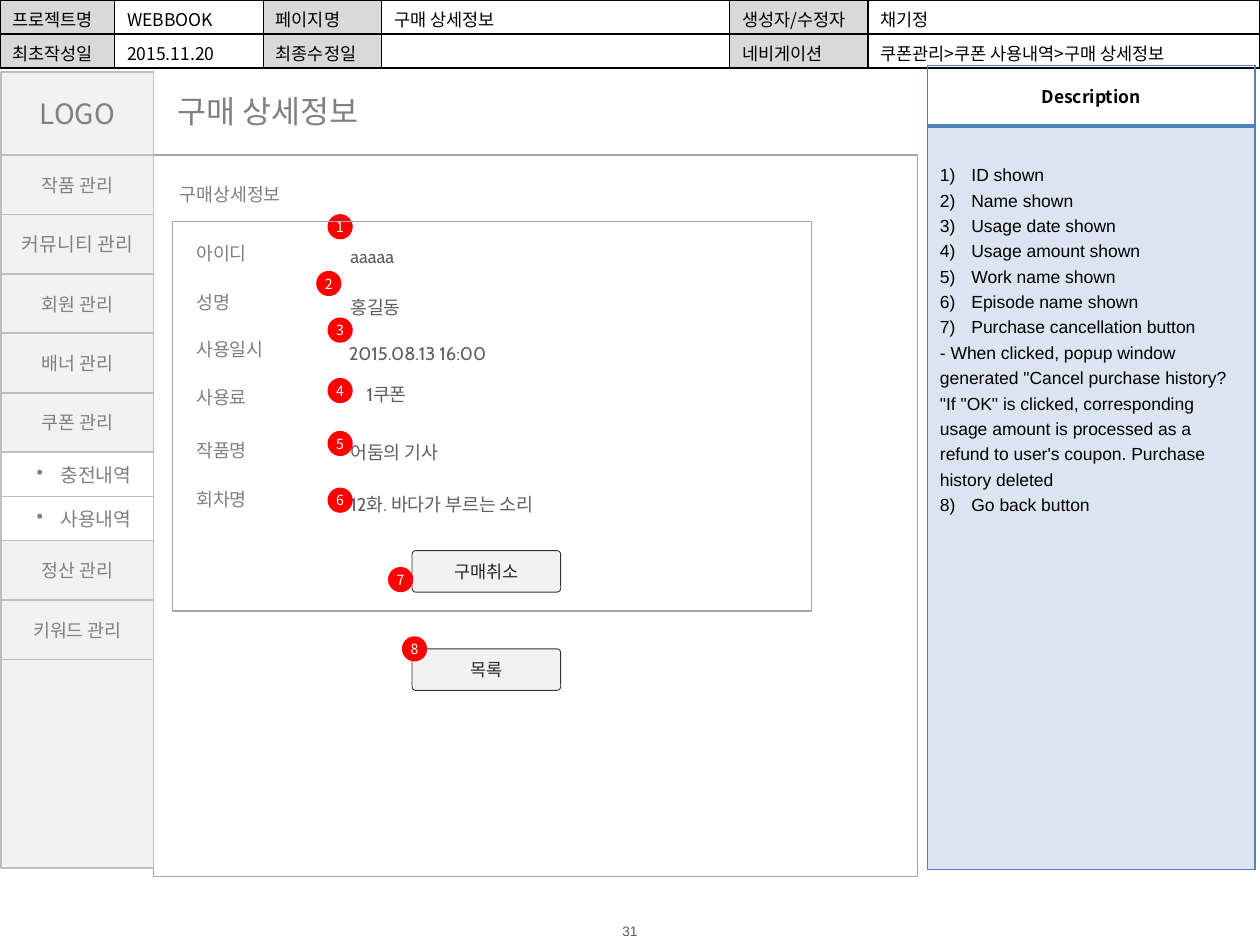
from lxml.etree import SubElement
from pptx import Presentation
from pptx.dml.color import RGBColor
from pptx.enum.shapes import MSO_SHAPE
from pptx.enum.text import MSO_ANCHOR, PP_ALIGN
from pptx.oxml.ns import qn
from pptx.util import Inches, Pt

KOREAN = "Noto Sans CJK KR"
GREY, LIGHT, RULE, BLUE = "808080", "F2F2F2", "BFBFBF", "4F81BD"
INSETS = (0.1, 0.05, 0.1, 0.05)


def color(value):
    """Turn a hex string into a colour."""
    return RGBColor.from_string(value)


def style(paragraph, size, tint, font=KOREAN, align=PP_ALIGN.LEFT, bold=False):
    """Format a paragraph with one font and alignment."""
    paragraph.alignment = align
    paragraph.font.size = Pt(size)
    paragraph.font.bold = bold
    paragraph.font.name = font
    paragraph.font.color.rgb = color(tint)
    east_asian = SubElement(paragraph.font._element, qn("a:ea"))
    east_asian.set("typeface", KOREAN)


def write(shape, text, size, tint, font=KOREAN, align=PP_ALIGN.LEFT,
          insets=INSETS, anchor=MSO_ANCHOR.MIDDLE, wrap=True):
    """Put one formatted paragraph into a shape."""
    frame = shape.text_frame
    frame.word_wrap = wrap
    frame.vertical_anchor = anchor
    (frame.margin_left, frame.margin_top,
     frame.margin_right, frame.margin_bottom) = map(Inches, insets)
    frame.text = text
    style(frame.paragraphs[0], size, tint, font, align)
    return frame.paragraphs[0]


def add_label(slide, box, text, size, tint, **options):
    """Add a text box."""
    write(slide.shapes.add_textbox(*map(Inches, box)), text, size, tint, **options)


def add_box(slide, box, fill=None, line=None, weight=1.0,
            kind=MSO_SHAPE.RECTANGLE, corner=None):
    """Add a preset shape with a flat fill and outline."""
    shape = slide.shapes.add_shape(kind, *map(Inches, box))
    shape.shadow.inherit = False
    if corner:
        shape.adjustments[0] = corner
    if fill:
        shape.fill.solid()
        shape.fill.fore_color.rgb = color(fill)
    else:
        shape.fill.background()
    if line:
        shape.line.color.rgb = color(line)
        shape.line.width = Pt(weight)
    else:
        shape.line.fill.background()
    return shape


def set_marker(paragraph, indent, tag, **attributes):
    """Give a paragraph a hanging bullet or number."""
    properties = paragraph._p.get_or_add_pPr()
    properties.set("marL", str(Inches(indent)))
    properties.set("indent", str(-Inches(indent)))
    marker = properties.makeelement(qn(tag), attributes)
    properties.insert_element_before(marker, "a:tabLst", "a:defRPr", "a:extLst")


def set_cell(cell, fill=None, alpha=None, border="000000", bottom=1):
    """Set a cell's fill and its four borders."""
    properties = cell._tc.get_or_add_tcPr()
    for side, points in (("L", 1), ("R", 1), ("T", 1), ("B", bottom)):
        edge = SubElement(properties, qn(f"a:ln{side}"), w=str(Pt(points)))
        SubElement(SubElement(edge, qn("a:solidFill")), qn("a:srgbClr"), val=border)
    if fill:
        cell.fill.solid()
        cell.fill.fore_color.rgb = color(fill)
        if alpha:
            tint = properties.find(qn("a:solidFill"))[0]
            SubElement(tint, qn("a:alpha"), val=str(alpha * 1000))
    else:
        cell.fill.background()


def add_table(slide, left, top, columns, rows):
    """Add an unbanded table from column widths and row heights."""
    box = (left, top, sum(columns), sum(rows))
    table = slide.shapes.add_table(len(rows), len(columns), *map(Inches, box)).table
    table.first_row = table.horz_banding = False
    for column, width in zip(table.columns, columns):
        column.width = Inches(width)
    for row, height in zip(table.rows, rows):
        row.height = Inches(height)
    return table


def add_project_header(slide, left, top):
    """Add the project data across the top."""
    contents = [
        ["프로젝트명", "WEBBOOK", "페이지명", "구매 상세정보", "생성자/수정자", "채기정"],
        ["최초작성일", "2015.11.20", "최종수정일", "", "네비게이션",
         "쿠폰관리>쿠폰 사용내역>구매 상세정보"],
    ]
    table = add_table(slide, left, top, [0.91, 1.18, 0.94, 2.76, 1.1, 3.11], [0.27] * 2)
    for row, texts in enumerate(contents):
        for column, text in enumerate(texts):
            cell = table.cell(row, column)
            cell.margin_bottom = 0
            cell.text = text
            style(cell.text_frame.paragraphs[0], 10, "000000")
            set_cell(cell, None if column % 2 else "D9D9D9")


def add_description(slide, left, top, width, height):
    """Add the description panel with its numbered notes."""
    heading = 0.48
    table = add_table(slide, left, top, [width], [heading, height - heading])
    title, body = table.cell(0, 0), table.cell(1, 0)
    title.text = "Description"
    title.vertical_anchor = MSO_ANCHOR.MIDDLE
    style(title.text_frame.paragraphs[0], 10, "000000", align=PP_ALIGN.CENTER, bold=True)
    set_cell(title, border=BLUE, bottom=2)
    notes = ["ID shown", "Name shown", "Usage date shown", "Usage amount shown",
             "Work name shown", "Episode name shown", "Purchase cancellation button",
             "- When clicked, popup window generated \"Cancel purchase history? "
             "\"If \"OK\" is clicked, corresponding usage amount is processed as a "
             "refund to user's coupon. Purchase history deleted",
             "Go back button"]
    body.text = "\n".join(notes)
    body.margin_top = Inches(0.27)
    number = 0
    for paragraph in body.text_frame.paragraphs:
        style(paragraph, 10, "000000", "Arial")
        paragraph.line_spacing = 1.3
        if not paragraph.text.startswith("-"):
            number += 1
            set_marker(paragraph, 0.25, "a:buAutoNum", type="arabicParenR",
                       startAt=str(number if number == 8 else 1))
    set_cell(body, BLUE, 20, BLUE)


def add_menu(slide, left, top, width, height):
    """Add the side menu, stacked from the logo down."""
    add_box(slide, (left, top + 3.49, width, height - 3.49), LIGHT, RULE)
    items = [("LOGO", 0.66, 16), ("작품 관리", 0.472, 10.5), ("커뮤니티 관리", 0.472, 11),
             ("회원 관리", 0.472, 10.5), ("배너 관리", 0.472, 10.5),
             ("쿠폰 관리", 0.472, 10.5), ("충전내역", 0.35, 11), ("사용내역", 0.35, 11),
             ("정산 관리", 0.472, 10.5), ("키워드 관리", 0.472, 10.5)]
    for text, step, size in items:
        nested = step == 0.35
        shape = add_box(slide, (left, top, width, step), "FFFFFF" if nested else LIGHT, RULE)
        if nested:
            paragraph = write(shape, text, size, GREY, insets=(0.28, 0.05, 0.1, 0.05))
            set_marker(paragraph, 0.19, "a:buChar", char="•")
        else:
            write(shape, text, size, GREY, align=PP_ALIGN.CENTER)
        top += step


def add_purchase_details(slide, left, top, width, height):
    """Add the purchase form with its fields, buttons and numbered badges."""
    add_label(slide, (left - 0.04, top - 0.37, 1.85, 0.3), "구매상세정보", 10.5, GREY)
    right = PP_ALIGN.RIGHT
    fields = [("아이디", 0.1, "aaaaa", 1.29, 0.1, 1.99, PP_ALIGN.LEFT),
              ("성명", 0.49, "홍길동", 1.29, 0.51, 1.99, PP_ALIGN.LEFT),
              ("사용일시", 0.86, "2015.08.13 16:00", 0.76, 0.87, 1.85, right),
              ("사용료", 1.24, "1쿠폰", 1.0, 1.2, 0.98, right),
              ("작품명", 1.66, "어둠의 기사", 1.29, 1.66, 1.99, PP_ALIGN.LEFT),
              ("회차명", 2.05, "12화. 바다가 부르는 소리", 1.29, 2.07, 1.99, PP_ALIGN.LEFT)]
    for label, label_top, value, x, y, value_width, align in fields:
        add_label(slide, (left + 0.09, top + label_top, 1.51, 0.3), label, 10.5, GREY)
        shape = add_box(slide, (left + x, top + y, value_width, 0.34), "FFFFFF",
                        kind=MSO_SHAPE.ROUNDED_RECTANGLE, corner=0.11)
        write(shape, value, 10.5, "5F5F5F", "Cabin", align, (0.11, 0.07, 0.11, 0.07))
    for text, y in (("구매취소", 2.61), ("목록", 3.39)):
        button = add_box(slide, (left + 1.9, top + y, 1.18, 0.33), LIGHT, "333333", 0.5,
                         MSO_SHAPE.ROUNDED_RECTANGLE, 0.09)
        write(button, text, 10, "262626", "Calibri", PP_ALIGN.CENTER)
    badges = [(1.23, -0.06), (1.14, 0.39), (1.23, 0.76), (1.23, 1.24),
              (1.23, 1.66), (1.23, 2.11), (1.71, 2.74), (1.82, 3.29)]
    for number, (x, y) in enumerate(badges, 1):
        badge = add_box(slide, (left + x, top + y, 0.2, 0.2), "FF0000", kind=MSO_SHAPE.OVAL)
        write(badge, str(number), 8, "FFFFFF", align=PP_ALIGN.CENTER, insets=(0,) * 4)
    add_box(slide, (left, top, width, height), line="A6A6A6", weight=0.75)


def add_title(slide, left, top, width, height):
    """Place the page title in the title placeholder."""
    title = slide.shapes.title
    title.left, title.top, title.width, title.height = map(Inches, (left, top, width, height))
    write(title, "구매 상세정보", 18, GREY, anchor=MSO_ANCHOR.TOP, wrap=False)


def main():
    """Build the wireframe slide and save it."""
    presentation = Presentation()
    presentation.slide_width, presentation.slide_height = Inches(10), Inches(7.5)
    slide = presentation.slides.add_slide(presentation.slide_layouts[5])
    add_project_header(slide, 0, 0)
    add_description(slide, 7.36, 0.52, 2.6, 6.38)
    add_title(slide, 1.31, 0.68, 1.81, 0.4)
    add_box(slide, (1.22, 1.23, 6.06, 5.73), line="A6A6A6", weight=0.75)
    add_menu(slide, 0.01, 0.57, 1.21, 6.32)
    add_purchase_details(slide, 1.37, 1.76, 5.07, 3.09)
    add_label(slide, (4.57, 7.32, 0.86, 0.14), "31", 7.8, "595959", font="Arial",
              align=PP_ALIGN.CENTER, insets=(0,) * 4)
    presentation.save("out.pptx")


if __name__ == "__main__":
    main()
